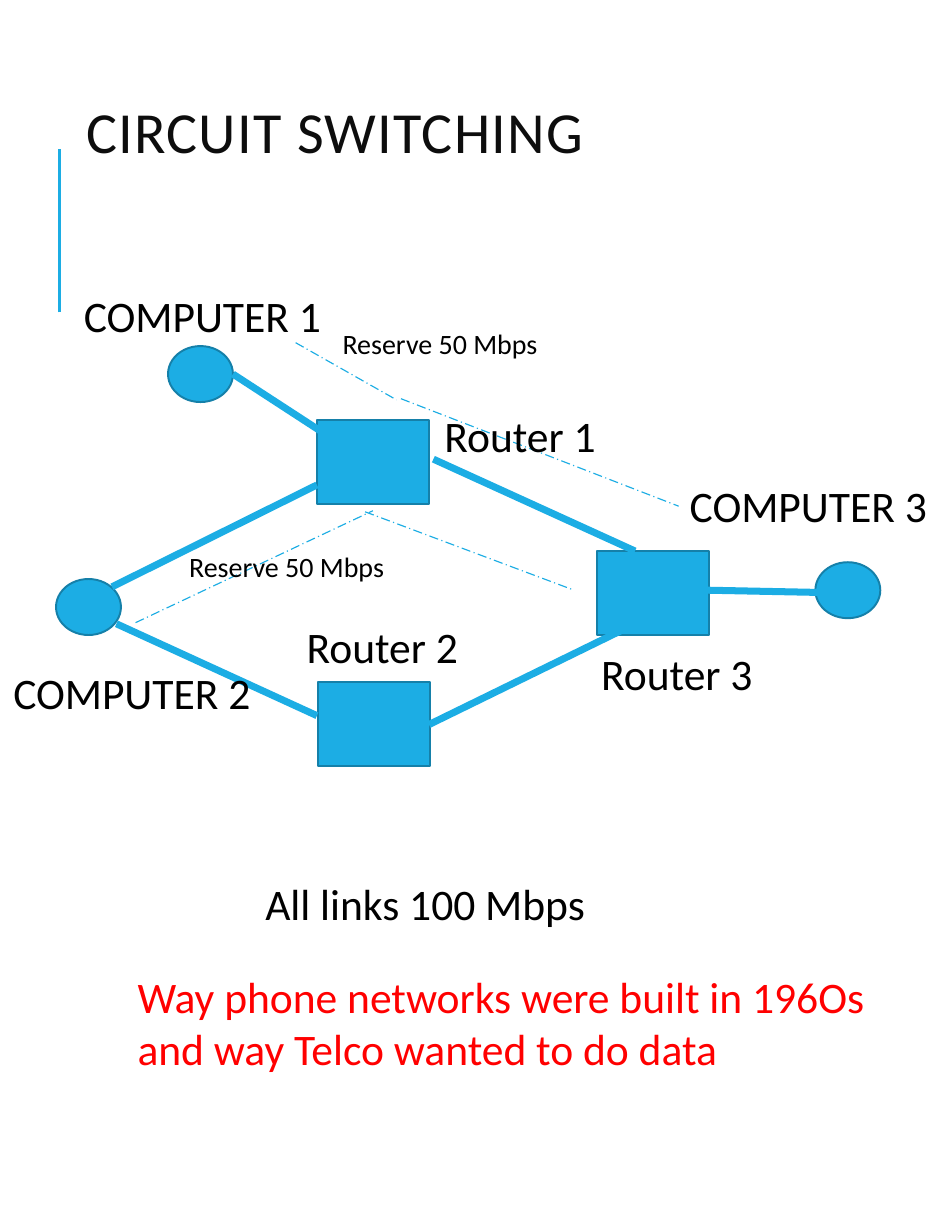
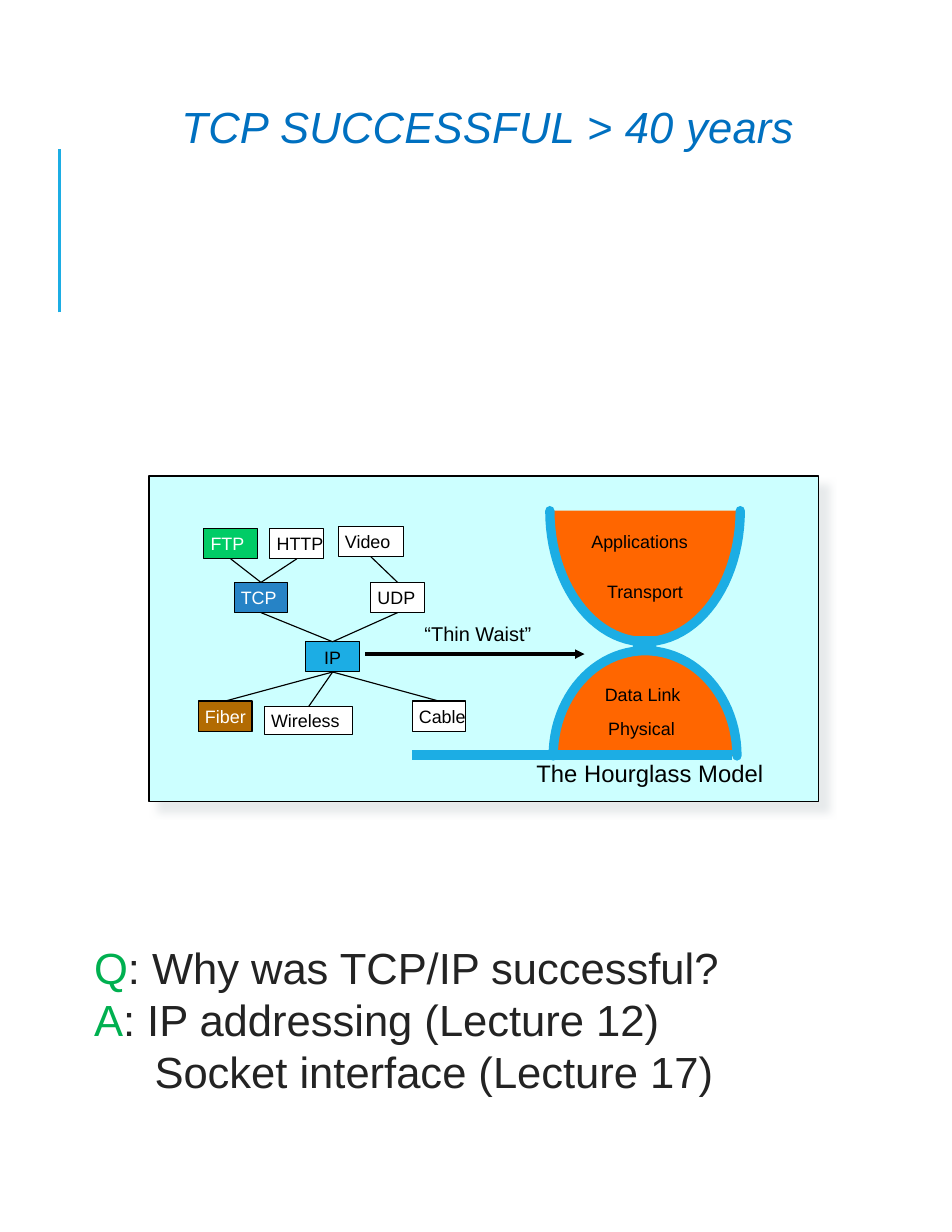
"""Build two lecture slides: circuit switching and the TCP/IP hourglass."""
from math import cos, pi, sin

from lxml.etree import SubElement
from pptx import Presentation
from pptx.dml.color import RGBColor
from pptx.enum.dml import MSO_LINE
from pptx.enum.shapes import MSO_CONNECTOR, MSO_SHAPE
from pptx.enum.text import MSO_ANCHOR, MSO_AUTO_SIZE, PP_ALIGN
from pptx.oxml.ns import qn
from pptx.util import Inches, Pt

COLORS = {
    "accent": "1CADE4", "outline": "1580A9", "black": "000000", "white": "FFFFFF",
    "red": "FF0000", "heading": "0D0D0D", "panel": "CCFFFF", "shadow": "DFE3E5",
    "orange": "FF6600", "green": "00CC66", "blue": "2683C6", "brown": "B26B02",
    "title blue": "0070C0", "letter": "00B050", "body": "232323",
}
DEFAULT_INSETS = (0.1, 0.05)
SMALL_INSETS = (0.06, 0.03)

COMPUTER_SIZE = (0.58, 0.5)
ROUTER_SIZE = (1, 0.75)
COMPUTERS = [(0.5, 5.17), (7.28, 5.02), (1.5, 3.09)]
ROUTERS = [(2.83, 3.75), (2.84, 6.09), (5.33, 4.92)]
LINKS = [
    ((3.87, 4.1), (5.67, 4.92)), ((1.04, 5.57), (2.83, 6.39)),
    ((1, 5.24), (2.83, 4.33)), ((3.83, 6.47), (5.67, 5.57)),
    ((2.08, 3.34), (2.91, 3.88)), ((6.32, 5.27), (7.32, 5.29)),
]
CIRCUITS = [
    ((1.21, 5.56), (3.33, 4.56)), ((3.26, 4.57), (5.1, 5.26)),
    ((2.64, 3.06), (3.54, 3.57)), ((3.58, 3.56), (6.06, 4.52)),
]
NETWORK_LABELS = [
    ("COMPUTER 2", (0.02, 5.9, 2.62, 0.57), 28, "black"),
    ("COMPUTER 1", (0.65, 2.53, 2.62, 0.57), 28, "black"),
    ("COMPUTER 3", (6.06, 4.23, 2.62, 0.57), 28, "black"),
    ("Router 1", (3.87, 3.6, 1.6, 0.59), 28, "black"),
    ("Router 2", (2.64, 5.49, 1.6, 0.59), 28, "black"),
    ("Router 3", (5.27, 5.73, 1.6, 0.59), 28, "black"),
    ("Reserve 50 Mbps", (1.59, 4.86, 2.28, 0.4), 18, "black"),
    ("Reserve 50 Mbps", (2.96, 2.87, 2.28, 0.4), 18, "black"),
    ("Way phone networks were built in 196Os and way Telco wanted to do data",
     (1.13, 8.61, 6.73, 1.04), 28, "red"),
    ("All links 100 Mbps", (2.27, 7.78, 3.38, 0.57), 28, "black"),
]

PROTOCOLS = {
    "FTP": ((1.82, 4.72, 0.48, 0.27), "green", "white"),
    "HTTP": ((2.41, 4.72, 0.48, 0.27), "white", "black"),
    "Video": ((3.02, 4.7, 0.58, 0.27), "white", "black"),
    "TCP": ((2.09, 5.2, 0.48, 0.27), "blue", "white"),
    "UDP": ((3.31, 5.2, 0.48, 0.27), "white", "black"),
    "IP": ((2.73, 5.73, 0.48, 0.27), "accent", "black"),
    "Fiber": ((1.77, 6.26, 0.48, 0.27), "brown", "white"),
    "Wireless": ((2.36, 6.31, 0.79, 0.25), "white", "black"),
    "Cable": ((3.68, 6.26, 0.48, 0.27), "white", "black"),
}
PROTOCOL_LINKS = [
    ("FTP", "TCP"), ("HTTP", "TCP"), ("Video", "UDP"), ("TCP", "IP"),
    ("UDP", "IP"), ("IP", "Cable"), ("IP", "Fiber"), ("IP", "Wireless"),
]
HOURGLASS_LABELS = [
    ("Data Link", (5.34, 6.07, 0.81, 0.26), 11.5),
    ("Physical", (5.37, 6.38, 0.73, 0.26), 11.5),
    ("Applications", (5.22, 4.71, 0.99, 0.26), 11.5),
    ("Transport", (5.36, 5.15, 0.82, 0.26), 11.5),
    ("The Hourglass Model", (4.73, 6.74, 2.17, 0.32), 15.3),
    ("“Thin Waist”", (3.73, 5.52, 1.11, 0.28), 12.8),
]
BOWLS = [((5.76, 4.56), (0.85, 1.17)), ((5.76, 6.75), (0.82, -0.94))]
HOURGLASS_BASE = [((3.68, 6.74), (5.37, 6.74)), ((4.9, 6.74), (6.54, 6.74))]
ANSWERS = [
    ("Q", ": Why was TCP/IP successful?", 0.01),
    ("A", ": IP addressing (Lecture 12)", 0.01),
    ("", "Socket interface (Lecture 17)", 0.55),
]


def rgb(name):
    return RGBColor.from_string(COLORS[name])


def inches(values):
    return [Inches(value) for value in values]


def format_runs(paragraph, font_name, size, color):
    for run in paragraph.runs:
        run.font.name = font_name
        run.font.size = Pt(size)
        run.font.color.rgb = rgb(color)


def set_frame(frame, insets, wrap, anchor=MSO_ANCHOR.TOP):
    frame.auto_size = MSO_AUTO_SIZE.NONE
    frame.word_wrap = wrap
    frame.vertical_anchor = anchor
    frame.margin_left = frame.margin_right = Inches(insets[0])
    frame.margin_top = frame.margin_bottom = Inches(insets[1])


def place(shape, box):
    shape.left, shape.top, shape.width, shape.height = inches(box)


def set_line(line, color, width):
    line.color.rgb = rgb(color)
    line.width = Pt(width)


def add_line(slide, start, end, color, width, dash=None):
    connector = slide.shapes.add_connector(
        MSO_CONNECTOR.STRAIGHT, *inches(start), *inches(end))
    set_line(connector.line, color, width)
    if dash:
        connector.line.dash_style = dash
    SubElement(connector._element.spPr, qn("a:effectLst"))
    return connector


def add_box(slide, kind, box, fill, outline=None, width=0.75):
    shape = slide.shapes.add_shape(kind, *inches(box))
    shape.shadow.inherit = False
    shape.fill.solid()
    shape.fill.fore_color.rgb = rgb(fill)
    if outline:
        set_line(shape.line, outline, width)
    else:
        shape.line.fill.background()
    return shape


def add_label(slide, text, box, size, color, font_name, insets, wrap):
    frame = slide.shapes.add_textbox(*inches(box)).text_frame
    set_frame(frame, insets, wrap)
    frame.text = text
    format_runs(frame.paragraphs[0], font_name, size, color)


def add_slide(presentation, layout, title, box, insets, font_name, size, color, spacing):
    slide = presentation.slides.add_slide(presentation.slide_layouts[layout])
    add_line(slide, (0.53, 2.79), (0.53, 1.33), "accent", 1.5)
    place(slide.shapes.title, box)
    frame = slide.shapes.title.text_frame
    set_frame(frame, insets, True, MSO_ANCHOR.MIDDLE)
    frame.text = title
    paragraph = frame.paragraphs[0]
    paragraph.alignment = PP_ALIGN.LEFT
    format_runs(paragraph, font_name, size, color)
    paragraph.runs[0].font._element.set("spc", str(int(spacing * 100)))
    return slide


def add_bowl(slide, center, radii, steps=48):
    points = [
        (Inches(center[0] + radii[0] * cos(pi * step / steps)),
         Inches(center[1] + radii[1] * sin(pi * step / steps)))
        for step in range(steps + 1)
    ]
    builder = slide.shapes.build_freeform(*points[0])
    builder.add_line_segments(points[1:], close=False)
    bowl = builder.convert_to_shape()
    bowl.shadow.inherit = False
    bowl.fill.solid()
    bowl.fill.fore_color.rgb = rgb("orange")
    set_line(bowl.line, "accent", 6)
    bowl.line._ln.set("cap", "rnd")


def add_panel(slide):
    panel = add_box(slide, MSO_SHAPE.RECTANGLE, (1.33, 4.25, 5.98, 2.91), "panel", "black")
    effects = panel._element.spPr.find(qn("a:effectLst"))
    shadow = SubElement(effects, qn("a:outerShdw"), blurRad=str(Pt(5)),
                        dist=str(Pt(8.5)), dir="2700000", algn="tl", rotWithShape="0")
    color = SubElement(shadow, qn("a:srgbClr"), val=COLORS["shadow"])
    SubElement(color, qn("a:alpha"), val="75000")


def add_protocols(slide):
    nodes = {}
    for name, (box, fill, color) in PROTOCOLS.items():
        node = nodes[name] = add_box(slide, MSO_SHAPE.RECTANGLE, box, fill, "black")
        set_frame(node.text_frame, SMALL_INSETS, False, MSO_ANCHOR.MIDDLE)
        node.text_frame.text = name
        paragraph = node.text_frame.paragraphs[0]
        paragraph.alignment = PP_ALIGN.CENTER if name == "IP" else PP_ALIGN.LEFT
        format_runs(paragraph, "Arial", 11.5, color)
    for upper, lower in PROTOCOL_LINKS:
        link = add_line(slide, (0, 0), (0, 0), "black", 0.75)
        link.begin_connect(nodes[upper], 2)
        link.end_connect(nodes[lower], 0)


def add_answers(slide):
    body = slide.placeholders[1]
    place(body, (0.83, 8.4, 7.17, 1.41))
    frame = body.text_frame
    set_frame(frame, (0, 0), True)
    for index, (letter, text, indent) in enumerate(ANSWERS):
        paragraph = frame.add_paragraph() if index else frame.paragraphs[0]
        properties = paragraph._p.get_or_add_pPr()
        properties.set("marL", str(Inches(indent)))
        properties.set("indent", "0")
        SubElement(properties, qn("a:buNone"))
        paragraph.space_before = Pt(0)
        if letter:
            paragraph.add_run().text = letter
        paragraph.add_run().text = text
        format_runs(paragraph, "Arial", 28, "body")
        if letter:
            paragraph.runs[0].font.color.rgb = rgb("letter")


def build_circuit_slide(presentation):
    slide = add_slide(presentation, 5, "CIRCUIT SWITCHING", (0.67, -0.04, 6.78, 2.41),
                      DEFAULT_INSETS, "Calibri", 37.4, "heading", 0.8)
    for kind, size, corners in ((MSO_SHAPE.OVAL, COMPUTER_SIZE, COMPUTERS),
                                (MSO_SHAPE.RECTANGLE, ROUTER_SIZE, ROUTERS)):
        for corner in corners:
            add_box(slide, kind, corner + size, "accent", "outline", 1.25)
    for start, end in LINKS:
        add_line(slide, start, end, "accent", 4.5)
    for start, end in CIRCUITS:
        add_line(slide, start, end, "accent", 0.75, MSO_LINE.LONG_DASH_DOT)
    for text, box, size, color in NETWORK_LABELS:
        add_label(slide, text, box, size, color, "Calibri", DEFAULT_INSETS, True)


def build_hourglass_slide(presentation):
    slide = add_slide(presentation, 1, "TCP SUCCESSFUL > 40 years", (1.62, 0.89, 5.88, 0.47),
                      (0, 0), "Arial", 28, "title blue", 0.2)
    slide.shapes.title.text_frame.paragraphs[0].runs[0].font.italic = True
    add_panel(slide)
    arrow = add_line(slide, (3.26, 5.84), (5.22, 5.84), "black", 2)
    SubElement(arrow.line._ln, qn("a:tailEnd"), type="triangle")
    for center, radii in BOWLS:
        add_bowl(slide, center, radii)
    for start, end in HOURGLASS_BASE:
        add_line(slide, start, end, "accent", 6)
    add_box(slide, MSO_SHAPE.RECTANGLE, (5.65, 5.68, 0.21, 0.15), "accent")
    for text, box, size in HOURGLASS_LABELS:
        add_label(slide, text, box, size, "black", "Arial", SMALL_INSETS, False)
    add_protocols(slide)
    add_answers(slide)


def main():
    presentation = Presentation()
    presentation.slide_width, presentation.slide_height = inches((8.5, 11))
    build_circuit_slide(presentation)
    build_hourglass_slide(presentation)
    presentation.save("out.pptx")


if __name__ == "__main__":
    main()
